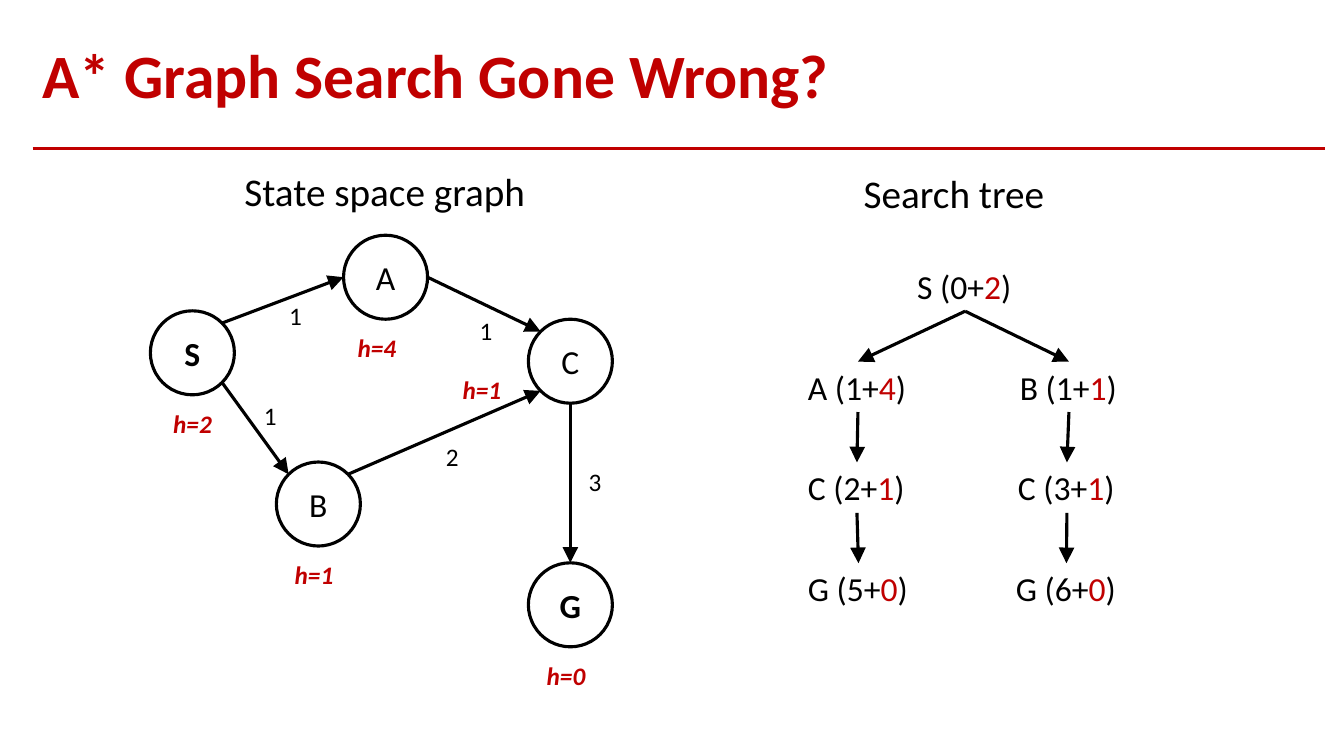
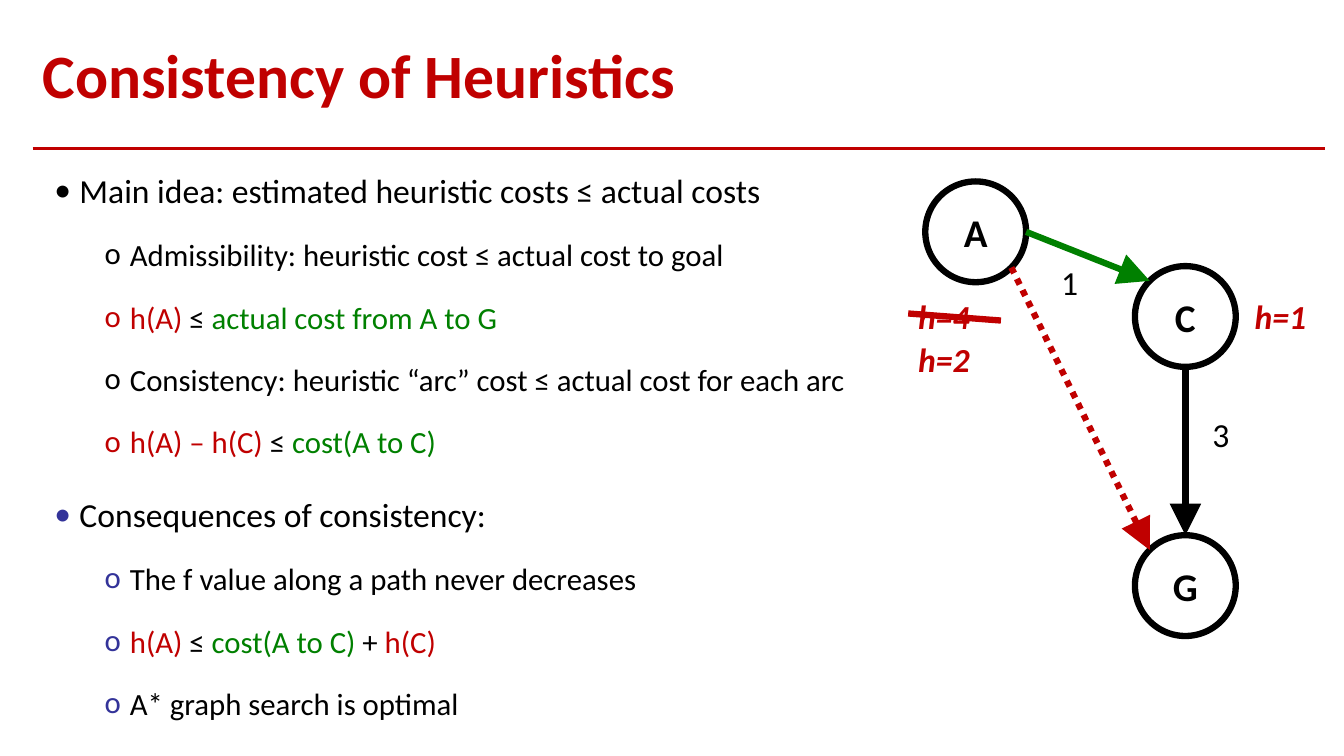
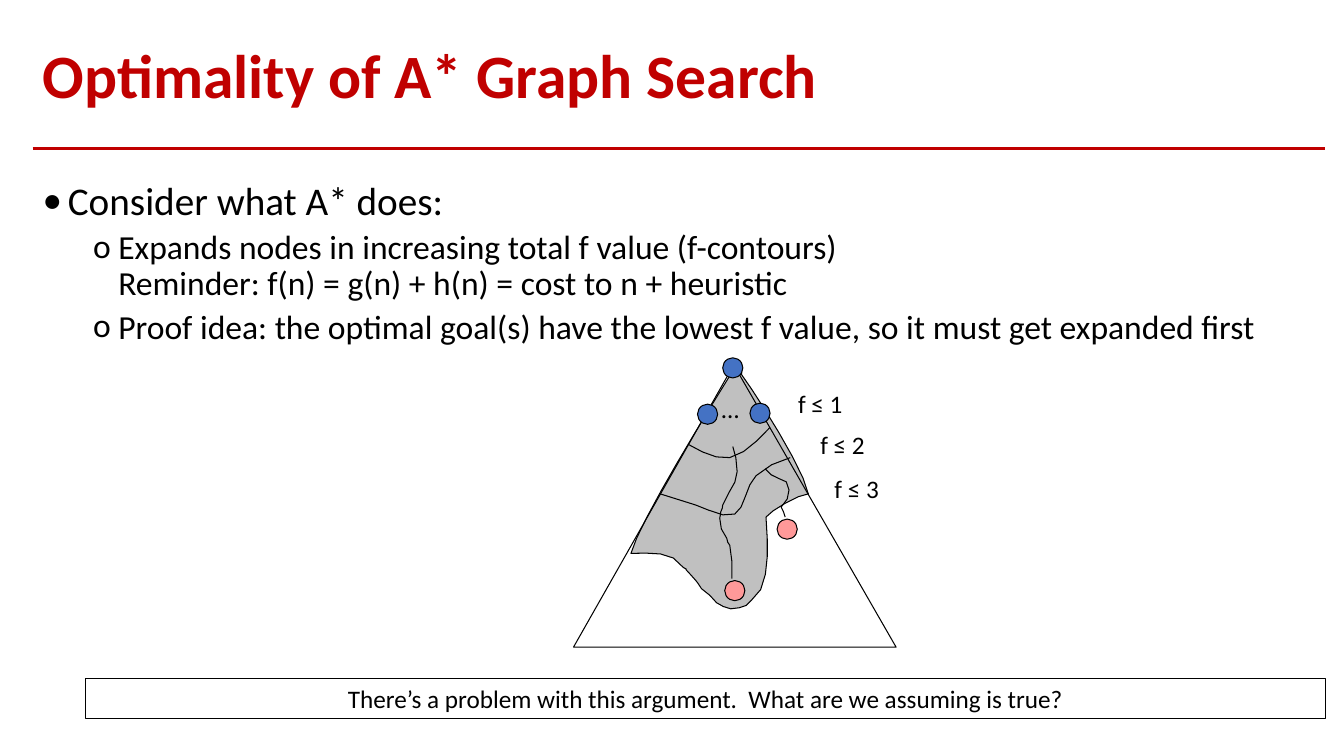
from math import ceil, cos, dist, pi, sin, sqrt
from lxml.etree import SubElement
from pptx import Presentation
from pptx.dml.color import RGBColor
from pptx.enum.dml import MSO_LINE
from pptx.enum.shapes import MSO_CONNECTOR, MSO_SHAPE
from pptx.enum.text import MSO_ANCHOR, PP_ALIGN
from pptx.oxml.ns import qn
from pptx.util import Pt

# The slide is a grid of 160 columns and 90 rows of square cells
COLS, ROWS, CELL = 160, 90, 76200
FINE = 9144  # step of the hand-drawn curves, 0.01 inch
FONT = "Calibri"
HEX = {"red": "C00000", "black": "000000", "white": "FFFFFF", "green": "008000",
       "navy": "333399", "blue": "4472C4", "pink": "FF9999", "gray": "C0C0C0"}
INK = {name: RGBColor.from_string(code) for name, code in HEX.items()}


def put(page, box, kind=None, fill="white", edge=1):
    """Place a text box or a preset shape; box is in cells."""
    spot = [round(n * CELL) for n in box]
    if kind is None:
        shape = page.shapes.add_textbox(*spot)
    else:
        shape = page.shapes.add_shape(kind, *spot)
        shape.shadow.inherit = False
        shape.fill.solid()
        shape.fill.fore_color.rgb = INK[fill]
        shape.line.color.rgb = INK["black"]
        shape.line.width = Pt(edge)
        shape.text_frame.vertical_anchor = MSO_ANCHOR.MIDDLE
        shape.text_frame.paragraphs[0].alignment = PP_ALIGN.CENTER
    shape.text_frame.word_wrap = kind is not None
    return shape


def say(para, runs, size, bold=False, slant=False):
    """Add (text, colour) runs to a paragraph."""
    for text, tint in runs:
        if text == "\n":
            para.add_line_break()
            continue
        run = para.add_run()
        run.text = text
        run.font.name, run.font.size = FONT, Pt(size)
        run.font.bold, run.font.italic = bold, slant
        run.font.color.rgb = INK[tint]


deck = Presentation()
deck.slide_width, deck.slide_height = COLS * CELL, ROWS * CELL
pages = []
wires = []  # page, from, to, colour, width, arrow, dash, glued shapes

# Titles and rules
LEFT, RIGHT = 3.9, 157.74
for title in ("A* Graph Search Gone Wrong?", "Consistency of Heuristics",
              "Optimality of A* Graph Search"):
    page = deck.slides.add_slide(deck.slide_layouts[6])
    pages.append(page)
    frame = put(page, (LEFT, 3.36, RIGHT - LEFT, 12)).text_frame
    frame.word_wrap = True
    frame.vertical_anchor = MSO_ANCHOR.MIDDLE
    frame.paragraphs[0].line_spacing = 0.9
    say(frame.paragraphs[0], [(title, "red")], 44, True)
    wires.append((page, (LEFT, 17.7), (RIGHT, 17.7), "red", 2.5, False, None, None))
flaw, rules, proof = pages

# Bulleted text: level, size, bullet colour, runs
lists = [
    (rules, (5.28, 17.28, 108.12, 69.36), 1.5, [
        (0, 24, "black", [("Main idea: estimated heuristic costs ≤ actual costs", "black")]),
        (1, 22, "black", [("Admissibility: heuristic cost ≤ actual cost to goal", "black")]),
        (1, 22, "red", [("h(A) ", "red"), ("≤ ", "black"),
                        ("actual cost from A to G", "green")]),
        (1, 22, "black", [("Consistency: heuristic “arc” cost ≤ actual cost for each arc",
                           "black")]),
        (1, 22, "red", [("h(A) – h(C) ", "red"), ("≤ ", "black"),
                        ("cost(A to C)", "green")]),
        (0, 24, "navy", [("Consequences of consistency:", "black")]),
        (1, 22, "navy", [("The f value along a path never decreases", "black")]),
        (1, 22, "navy", [("h(A) ", "red"), ("≤ ", "black"), ("cost(A to C) ", "green"),
                         ("+ ", "black"), ("h(C)", "red")]),
        (1, 22, "navy", [("A* graph search is optimal", "black")])]),
    (proof, (LEFT, 21, RIGHT - LEFT, 27.96), 0.9, [
        (0, 28, "black", [("Consider what A* does:", "black")]),
        (1, 24, "black", [("Expands nodes in increasing total f value (f-contours)", "black"),
                          ("\n", "black"),
                          ("Reminder: f(n) = g(n) + h(n) = cost to n + heuristic", "black")]),
        (1, 24, "black", [("Proof idea: the optimal goal(s) have the lowest f value, "
                           "so it must get expanded first", "black")])])]
for page, box, pitch, items in lists:
    frame = put(page, box).text_frame
    frame.word_wrap = True
    for i, (level, size, dot, runs) in enumerate(items):
        para = frame.add_paragraph() if i else frame.paragraphs[0]
        para.level = level
        props = para._p.get_or_add_pPr()
        props.set("marL", str((3 + 6 * level) * CELL))
        props.set("indent", str(-3 * CELL))
        tint = SubElement(props, qn("a:buClr"))
        SubElement(tint, qn("a:srgbClr"), val=HEX[dot])
        SubElement(props, qn("a:buFont"), typeface=FONT)
        SubElement(props, qn("a:buChar"), char="•o"[level])
        para.line_spacing = pitch
        if i:
            para.space_before = Pt((10, 5)[level])
        say(para, runs, size)

# Graph nodes and arrows; arrow ends are eighths of a turn, clockwise from the right
graphs = [
    (flaw, 5, 2.25, 24, "SG",
     {"S": (17.9, 37), "A": (40.9, 28), "B": (32.9, 55), "C": (62.9, 38), "G": (62.9, 67)},
     [("S", 7, "A", 4, "black", None), ("S", 1, "B", 5, "black", None),
      ("B", 7, "C", 3, "black", None), ("A", 0, "C", 5, "black", None),
      ("C", 2, "G", 6, "black", None)]),
    (rules, 6, 4.5, 28, "ACG",
     {"A": (110.16, 21.6), "C": (135.12, 31.68), "G": (135.12, 63.72)},
     [("C", 2, "G", 6, "black", None), ("A", 1, "G", 5, "red", MSO_LINE.ROUND_DOT),
      ("A", 0, "C", 5, "green", None)])]
for page, half, edge, size, strong, nodes, links in graphs:
    for name, (x, y) in nodes.items():
        node = put(page, (x, y, 2 * half, 2 * half), MSO_SHAPE.OVAL, "white", edge)
        say(node.text_frame.paragraphs[0], [(name, "black")], size, name in strong)
    for tail, out, head, into, tint, dash in links:
        ends = [(nodes[name][0] + half * (1 + cos(turn * pi / 4)),
                 nodes[name][1] + half * (1 + sin(turn * pi / 4)))
                for name, turn in ((tail, out), (head, into))]
        wires.append((page, *ends, tint, edge, True, dash, None))
wires.append((rules, (108.12, 37.32), (119.16, 38.16), "red", 4.5, False, None, None))

# Labels: page, width, height, size, colour, bold italic, places
labels = [
    (flaw, 4.08, 4.8, 18, "black", False,
     [("1", 33.24, 35.16), ("1", 30.24, 47.04), ("1", 55.92, 37),
      ("2", 51.9, 51.96), ("3", 68.9, 54.96)]),
    (flaw, 7.8, 4.8, 18, "red", True,
     [("h=2", 19.44, 48), ("h=1", 33.9, 66), ("h=4", 41.4, 39),
      ("h=1", 53.9, 43.92), ("h=0", 63.9, 78)]),
    (flaw, 36.24, 6.84, 28, "black", False, [("State space graph", 27.9, 19.32)]),
    (flaw, 24.12, 6.84, 28, "black", False, [("Search tree", 101.64, 19.56)]),
    (rules, 4.44, 6, 24, "black", False, [("3", 143.16, 48.72), ("1", 125.16, 30.6)]),
    (rules, 9.6, 6, 24, "red", True,
     [("h=4", 108.12, 34.68), ("h=1", 148.2, 34.68), ("h=2", 108.12, 39.72)]),
    (proof, 10.8, 4.8, 18, "black", False,
     [("f ≤ 1", 93.84, 45.6), ("f ≤ 2", 96.48, 50.52), ("f ≤ 3", 98.16, 55.8)])]
for page, wide, high, size, tint, strong, spots in labels:
    for text, x, y in spots:
        label = put(page, (x, y, wide, high))
        label.text_frame.word_wrap = page is proof
        say(label.text_frame.paragraphs[0], [(text, tint)], size, strong, strong)

# Search tree: name, cost so far, estimate, column, width, depth, parent
tree = [("S", 0, 2, 108, 13.8, 0, None),
        ("A", 1, 4, 95, 14.28, 1, 0), ("B", 1, 1, 120.24, 14.04, 1, 0),
        ("C", 2, 1, 95, 14.04, 2, 1), ("C", 3, 1, 120, 14.04, 2, 2),
        ("G", 5, 0, 95, 14.4, 3, 3), ("G", 6, 0, 119.76, 14.4, 3, 4)]
leaves = []
for name, cost, guess, x, wide, depth, up in tree:
    leaf = put(flaw, (x, 31.05 + 12 * depth, wide, 6))
    say(leaf.text_frame.paragraphs[0],
        [(f"{name} ({cost}+", "black"), (str(guess), "red"), (")", "black")], 24)
    leaves.append(leaf)
    if up is not None:
        wires.append((flaw, (0, 0), (0, 0), "black", 2.25, True, None, (leaves[up], leaf)))

# All lines and arrows
for page, start, stop, tint, width, arrow, dash, glue in wires:
    ends = [round(n * CELL) for n in start + stop]
    wire = page.shapes.add_connector(MSO_CONNECTOR.STRAIGHT, *ends)
    if glue:
        wire.begin_connect(glue[0], 2)
        wire.end_connect(glue[1], 0)
    wire.line.color.rgb = INK[tint]
    wire.line.width = Pt(width)
    if dash:
        wire.line.dash_style = dash
    props = wire._element.spPr
    if arrow:
        SubElement(props.find(qn("a:ln")), qn("a:tailEnd"), type="triangle", w="lg", len="lg")
    SubElement(props, qn("a:effectLst"))

# Search cone: fill, curved, points in fine steps (a start, then three per curve)
cone = [
    ("gray", True, [
        (736, 372), (750, 391), (798, 466), (802, 490), (793, 490), (764, 507), (760, 513),
        (760, 521), (768, 582), (746, 595), (741, 603), (734, 603), (725, 604),
        (718, 602), (717, 602), (711, 598), (708, 594), (701, 587), (696, 584),
        (690, 575), (693, 579), (686, 571), (674, 559), (686, 568), (678, 563),
        (667, 546), (646, 549), (626, 549), (634, 518), (706, 402), (724, 373),
        (742, 344), (734, 372), (736, 372)]),
    (None, False, [(569, 642), (889, 642), (728, 362), (569, 642)]),
    (None, True, [
        (727, 443), (728, 447), (729, 450), (730, 454), (733, 471), (731, 477), (723, 489),
        (722, 494), (720, 498), (717, 501), (716, 508), (717, 502), (715, 508),
        (715, 510), (714, 514), (714, 514), (714, 521), (716, 529), (721, 534),
        (721, 535), (721, 537), (722, 538), (722, 539), (723, 540), (724, 541),
        (727, 552), (726, 562), (726, 574)]),
    (None, True, [
        (759, 465), (761, 467), (763, 469), (765, 471), (769, 474), (775, 475), (780, 478),
        (784, 483), (783, 489), (781, 495), (779, 498), (775, 503), (775, 503),
        (776, 507), (779, 509), (779, 513)]),
    (None, True, [
        (784, 454), (771, 458), (759, 463), (750, 472), (740, 481), (739, 505), (729, 510),
        (719, 515), (702, 505), (690, 501), (678, 498), (666, 494), (655, 490)]),
    (None, True, [
        (764, 424), (751, 438), (738, 451), (724, 454), (711, 456), (697, 449), (683, 441)])]
SLACK = 1.5  # largest gap between a curve and its chords, in fine steps
for fill, curved, points in cone:
    trace = points[1:]
    if curved:
        trace = []
        for i in range(0, len(points) - 1, 3):
            a, b, c, d = points[i:i + 4]
            bend = max(dist((p[0] + r[0], p[1] + r[1]), (2 * q[0], 2 * q[1]))
                       for p, q, r in ((a, b, c), (b, c, d)))
            steps = max(1, ceil(sqrt(0.75 * bend / SLACK)))
            for step in range(1, steps + 1):
                t = step / steps
                parts = ((1 - t) ** 3, 3 * t * (1 - t) ** 2, 3 * t * t * (1 - t), t ** 3)
                trace.append([sum(p * spot[axis] for p, spot in zip(parts, (a, b, c, d)))
                              for axis in (0, 1)])
    pen = proof.shapes.build_freeform(points[0][0] * FINE, points[0][1] * FINE)
    pen.add_line_segments([(x * FINE, y * FINE) for x, y in trace],
                          close=points[0] == points[-1])
    shape = pen.convert_to_shape()
    shape.shadow.inherit = False
    shape.line.color.rgb = INK["black"]
    shape.line.width = Pt(0.75)
    if fill:
        shape.fill.solid()
        shape.fill.fore_color.rgb = INK[fill]
    else:
        shape.fill.background()

# States in the cone
for x, y, fill in ((83.04, 48.12, "blue"), (89.28, 48, "blue"), (86.04, 42.6, "blue"),
                   (92.52, 61.8, "pink"), (86.28, 69.12, "pink")):
    put(proof, (x, y, 2.4, 2.4), MSO_SHAPE.OVAL, fill, 0.75)
gap = put(proof, (84.72, 46.2, 4.8, 4.8))
say(gap.text_frame.paragraphs[0], [("…", "black")], 18)

# Closing question
ask = put(proof, (10.2, 80.76, 147.6, 4.8), MSO_SHAPE.RECTANGLE)
say(ask.text_frame.paragraphs[0],
    [("There’s a problem with this argument.  What are we assuming is true?", "black")], 18)

deck.save("out.pptx")
